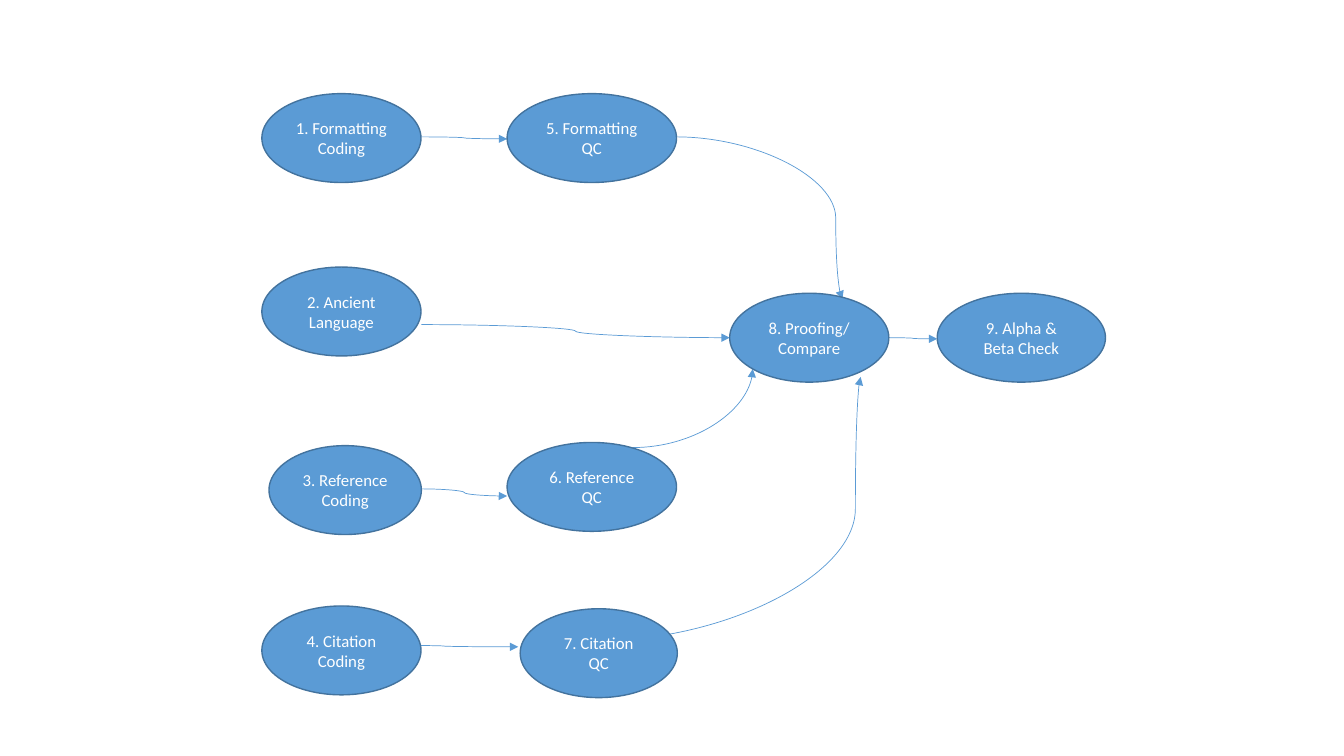
from dataclasses import dataclass

from lxml import etree
from pptx import Presentation
from pptx import util as u
from pptx.dml.color import RGBColor
from pptx.enum import shapes, text
from pptx.oxml.ns import qn


@dataclass(frozen=True)
class Theme:
    font: str = "Calibri"
    text_size: float = 12
    text_color: str = "FFFFFF"
    fill: str = "5B9BD5"
    outline: str = "43739E"
    outline_width: float = 1
    arrow: str = "5B9BD5"
    arrow_width: float = 0.5


THEME = Theme()
STEP_HEIGHT = 2.24

# Label, left, top and width in centimetres
STEPS = [
    ("1. Formatting Coding", 6.6, 2.36, 4.01),
    ("2. Ancient Language", 6.6, 6.73, 4.01),
    ("3. Reference Coding", 6.78, 11.23, 3.84),
    ("4. Citation Coding", 6.6, 15.27, 4.01),
    ("5. Formatting QC", 12.78, 2.36, 4.27),
    ("6. Reference QC", 12.78, 11.15, 4.27),
    ("7. Citation QC", 13.11, 15.34, 3.96),
    ("8. Proofing/ Compare", 18.39, 7.39, 4.01),
    ("9. Alpha & Beta Check", 23.62, 7.39, 4.24),
]

# Start, end and bend: the share of the width at which the curve turns,
# or None for a single quarter turn
FLOWS = [
    ((10.62, 3.45), (12.78, 3.5), 0.5),
    ((10.62, 8.18), (18.39, 8.51), 0.5),
    ((10.62, 12.32), (12.78, 12.5), 0.5),
    ((9.3, 16.26), (13.06, 16.3), 0.5),
    ((17.04, 3.45), (21.23, 7.54), 0.96),
    ((15.95, 11.28), (18.97, 9.3), None),
    ((15.04, 16.15), (21.69, 9.5), 0.98),
    ((22.38, 8.51), (23.62, 8.54), 0.5),
]


def write_text(shape, words, *, size, color, font,
               align=text.PP_ALIGN.CENTER, anchor=text.MSO_ANCHOR.MIDDLE):
    frame = shape.text_frame
    frame.word_wrap = True
    frame.vertical_anchor = anchor
    para = frame.paragraphs[0]
    para.alignment = align
    span = para.add_run()
    span.text = words
    span.font.name = font
    span.font.size = u.Pt(size)
    span.font.color.rgb = RGBColor.from_string(color)


def set_line(shape, color, width):
    shape.line.color.rgb = RGBColor.from_string(color)
    shape.line.width = u.Pt(width)


def add_step(page, label, left, top, width):
    oval = page.shapes.add_shape(shapes.MSO_SHAPE.OVAL, u.Cm(left), u.Cm(top),
                                 u.Cm(width), u.Cm(STEP_HEIGHT))
    oval.shadow.inherit = False
    oval.fill.solid()
    oval.fill.fore_color.rgb = RGBColor.from_string(THEME.fill)
    set_line(oval, THEME.outline, THEME.outline_width)
    write_text(oval, label, size=THEME.text_size, color=THEME.text_color,
               font=THEME.font)


def add_flow(page, start, end, bend):
    """Add a curved arrow that leaves its start horizontally."""
    points = [u.Cm(value) for value in (*start, *end)]
    arrow = page.shapes.add_connector(shapes.MSO_CONNECTOR.CURVE, *points)
    set_line(arrow, THEME.arrow, THEME.arrow_width)

    properties = arrow._element.spPr
    geometry = properties.find(qn("a:prstGeom"))
    if bend is None:
        geometry.set("prst", "curvedConnector2")
    else:
        guides = geometry.find(qn("a:avLst"))
        etree.SubElement(guides, qn("a:gd"), name="adj1",
                         fmla=f"val {round(bend * 100000)}")
    etree.SubElement(properties.find(qn("a:ln")), qn("a:tailEnd"),
                     type="triangle")
    etree.SubElement(properties, qn("a:effectLst"))


def main():
    deck = Presentation()
    deck.slide_width, deck.slide_height = u.Cm(33.87), u.Cm(19.05)
    page = deck.slides.add_slide(deck.slide_layouts.get_by_name("Blank"))
    # Arrows lie behind the ovals, which cover the ends that start inside them
    for flow in FLOWS:
        add_flow(page, *flow)
    for step in STEPS:
        add_step(page, *step)
    deck.save("out.pptx")


if __name__ == "__main__":
    main()
